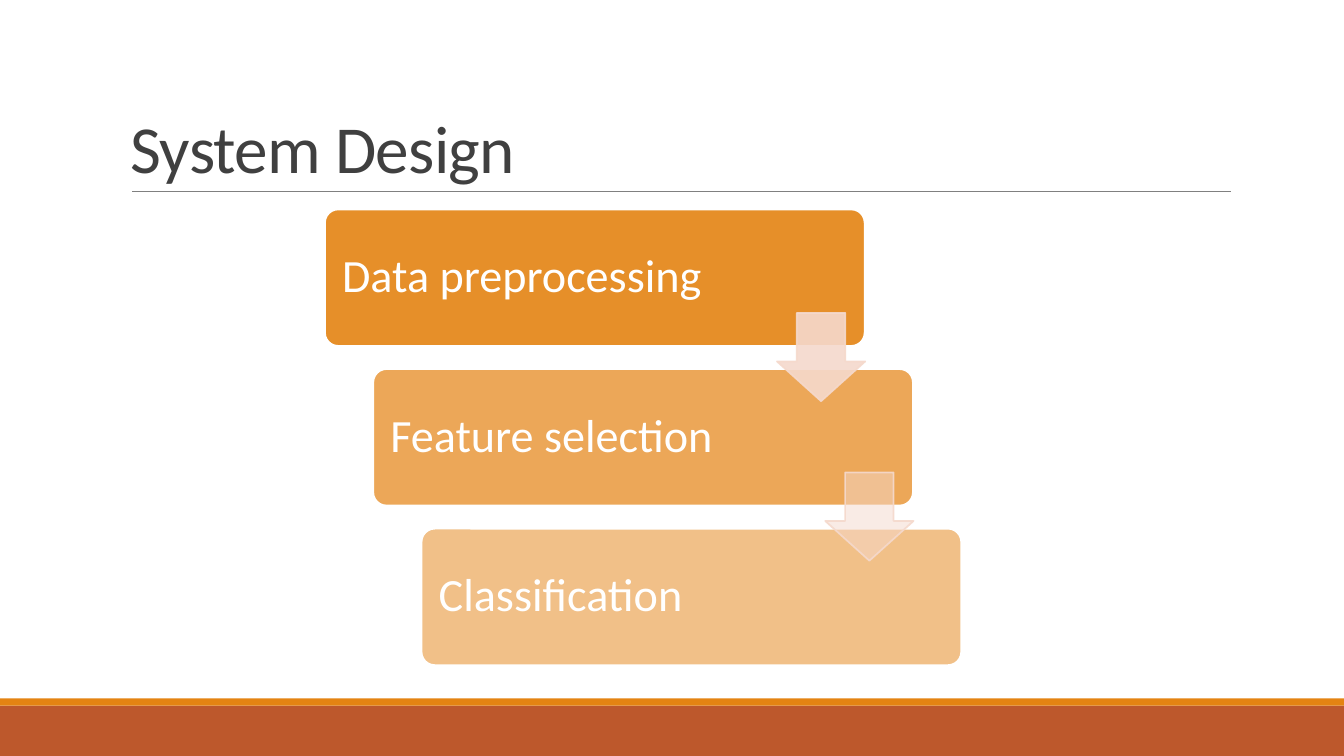
"""Build the System Design slide: a staircase of three steps joined by arrows."""
from dataclasses import dataclass

from lxml.etree import SubElement
from pptx import Presentation
from pptx.dml.color import RGBColor
from pptx.enum.shapes import MSO_CONNECTOR, MSO_SHAPE
from pptx.enum.text import MSO_ANCHOR, PP_ALIGN
from pptx.oxml.ns import qn
from pptx.util import Pt

EMU_PER_PX = 9525


@dataclass(frozen=True)
class Theme:
    font: str = "Calibri"
    title_size: int = 48
    step_size: int = 33
    title: str = "404040"
    text: str = "FFFFFF"
    rule: str = "808080"
    footer: str = "BD582C"
    accent: str = "E48312"
    arrow: str = "F5D9CC"


THEME = Theme()
STEPS = [("Data preprocessing", 90), ("Feature selection", 70), ("Classification", 50)]
ARROW_OPACITIES = [90, 50]
STEP_LEFT, STEP_TOP, STEP_WIDTH, STEP_HEIGHT = 309, 199, 515, 131
SHIFT_X, SHIFT_Y = 46, 152
ARROW_OFFSET_X, ARROW_OFFSET_Y, ARROW_SIZE = 431, 99, 84


def px(*lengths):
    return [length * EMU_PER_PX for length in lengths]


def apply_format(target, values):
    for name, value in values.items():
        setattr(target, name, value)


def set_opacity(color_format_parent, percent):
    color = color_format_parent.find(qn("a:solidFill")).find(qn("a:srgbClr"))
    SubElement(color, qn("a:alpha")).set("val", str(percent * 1000))


def add_block(slide, kind, box, fill, opacity=100, line=None, line_width=0, line_opacity=100, adjustments=()):
    shape = slide.shapes.add_shape(kind, *px(*box))
    shape.shadow.inherit = False
    for index, value in enumerate(adjustments):
        shape.adjustments[index] = value
    shape.fill.solid()
    shape.fill.fore_color.rgb = RGBColor.from_string(fill)
    properties = shape.element.spPr
    if opacity < 100:
        set_opacity(properties, opacity)
    if line is None:
        shape.line.fill.background()
        return shape
    shape.line.color.rgb = RGBColor.from_string(line)
    shape.line.width = Pt(line_width)
    if line_opacity < 100:
        set_opacity(properties.find(qn("a:ln")), line_opacity)
    return shape


def write_text(shape, text, size, color, frame_format, line_spacing):
    frame = shape.text_frame
    apply_format(frame, {"word_wrap": True, **frame_format})
    paragraph = frame.paragraphs[0]
    apply_format(paragraph, {"alignment": PP_ALIGN.LEFT, "line_spacing": line_spacing})
    run = paragraph.add_run()
    run.text = text
    apply_format(run.font, {"name": THEME.font, "size": Pt(size)})
    run.font.color.rgb = RGBColor.from_string(color)
    return run


def add_title(slide, text):
    box = slide.shapes.add_textbox(*px(115, 30, 1056, 153))
    run = write_text(box, text, THEME.title_size, THEME.title, {"vertical_anchor": MSO_ANCHOR.BOTTOM}, 0.85)
    run.font._element.set("spc", "-50")


def add_rule(slide):
    rule = slide.shapes.add_connector(MSO_CONNECTOR.STRAIGHT, *px(126, 182, 1172, 182))
    rule.line.color.rgb = RGBColor.from_string(THEME.rule)
    rule.line.width = Pt(0.5)
    SubElement(rule.element.spPr, qn("a:effectLst"))


def add_step(slide, index, text, opacity):
    box = (STEP_LEFT + index * SHIFT_X, STEP_TOP + index * SHIFT_Y, STEP_WIDTH, STEP_HEIGHT)
    step = add_block(slide, MSO_SHAPE.ROUNDED_RECTANGLE, box, THEME.accent, opacity,
                     THEME.text, 2, adjustments=(0.1,))
    sides = ("left", "top", "right", "bottom")
    margins = {f"margin_{side}": 13 * EMU_PER_PX for side in sides}
    write_text(step, text, THEME.step_size, THEME.text,
               {"vertical_anchor": MSO_ANCHOR.MIDDLE, **margins}, 0.9)


def add_arrow(slide, index, opacity):
    left = STEP_LEFT + ARROW_OFFSET_X + index * SHIFT_X
    top = STEP_TOP + ARROW_OFFSET_Y + index * SHIFT_Y
    add_block(slide, MSO_SHAPE.DOWN_ARROW, (left, top, ARROW_SIZE, ARROW_SIZE), THEME.arrow, opacity,
              THEME.arrow, 1.25, 90, adjustments=(0.55, 0.45))


def main():
    presentation = Presentation()
    presentation.slide_width, presentation.slide_height = px(1280, 720)
    slide = presentation.slides.add_slide(presentation.slide_layouts[6])
    add_block(slide, MSO_SHAPE.RECTANGLE, (0, 672, 1280, 48), THEME.footer)
    add_block(slide, MSO_SHAPE.RECTANGLE, (0, 665, 1280, 7), THEME.accent)
    add_rule(slide)
    add_title(slide, "System Design")
    for index, (text, opacity) in enumerate(STEPS):
        add_step(slide, index, text, opacity)
    for index, opacity in enumerate(ARROW_OPACITIES):
        add_arrow(slide, index, opacity)
    presentation.save("out.pptx")


if __name__ == "__main__":
    main()
